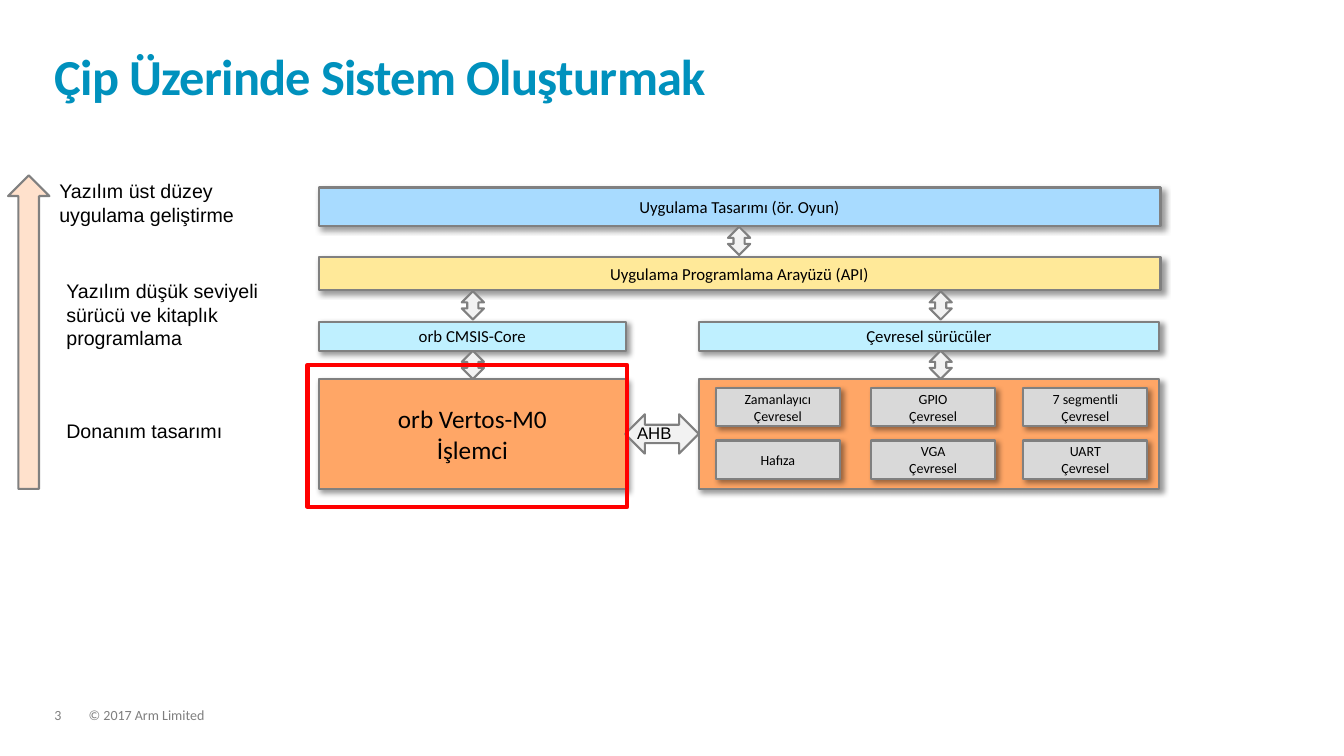
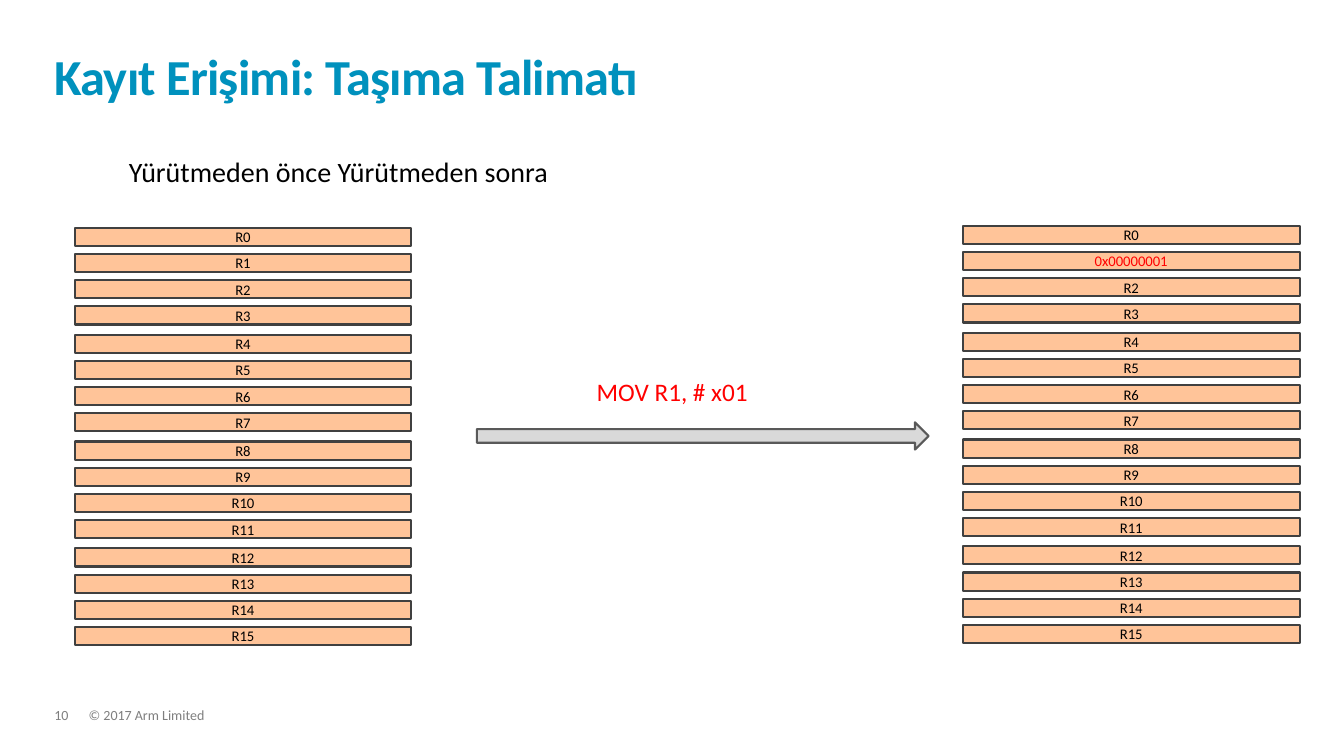
"""Build two slides on system-on-chip layers and register access."""
import lxml.etree
import pptx
import pptx.dml.color
import pptx.enum.shapes
import pptx.enum.text
import pptx.oxml.ns
import pptx.util

Inches = pptx.util.Inches
Shapes = pptx.enum.shapes.MSO_SHAPE
Align = pptx.enum.text.PP_ALIGN
Anchor = pptx.enum.text.MSO_ANCHOR
AutoSize = pptx.enum.text.MSO_AUTO_SIZE


def rgb(value):
    return pptx.dml.color.RGBColor.from_string(value)


def write(text_frame, text, size=12, font="Calibri", color="000000", bold=False,
          align=Align.LEFT, line_spacing=None, space_after=None, tracking=None):
    for index, line in enumerate(text.split("\n")):
        paragraph = text_frame.add_paragraph() if index else text_frame.paragraphs[0]
        paragraph.alignment = align
        paragraph.line_spacing = line_spacing
        if space_after is not None:
            paragraph.space_after = pptx.util.Pt(space_after)
        run = paragraph.add_run()
        run.text = line
        run.font.size = pptx.util.Pt(size)
        run.font.name = font
        run.font.bold = bold
        run.font.color.rgb = rgb(color)
        if tracking is not None:
            run.font._element.set("spc", str(int(tracking * 100)))


def clear_margins(text_frame):
    text_frame.margin_left = text_frame.margin_right = 0
    text_frame.margin_top = text_frame.margin_bottom = 0


def add_shadow(shape):
    qn = pptx.oxml.ns.qn
    effects = shape._element.spPr.find(qn("a:effectLst"))
    shadow = lxml.etree.SubElement(effects, qn("a:outerShdw"), blurRad="50800",
                                   dist="38100", dir="2700000", algn="tl", rotWithShape="0")
    color = lxml.etree.SubElement(shadow, qn("a:srgbClr"), val="000000")
    lxml.etree.SubElement(color, qn("a:alpha"), val="40000")


class Deck:
    TITLE = "0091BD"
    FOOTER = "7F7F7F"
    OUTLINE = "808080"
    HARDWARE = "FFA666"
    DRIVER = "BFF0FF"
    ARROW = "F2F2F2"
    GREY = "D9D9D9"
    REGISTER = "FFC499"
    RED = "FF0000"

    def __init__(self):
        self.presentation = pptx.Presentation()
        self.presentation.slide_width = Inches(13.33)
        self.presentation.slide_height = Inches(7.5)
        self.slide = None

    def new_slide(self, title, number):
        self.slide = self.presentation.slides.add_slide(self.presentation.slide_layouts[5])
        shape = self.slide.shapes.title
        shape.left, shape.top = Inches(0.54), Inches(0.32)
        shape.width, shape.height = Inches(12.23), Inches(0.73)
        text_frame = shape.text_frame
        clear_margins(text_frame)
        text_frame.auto_size = AutoSize.NONE
        text_frame.vertical_anchor = Anchor.BOTTOM
        write(text_frame, title, size=36, color=self.TITLE, bold=True,
              line_spacing=0.85, tracking=-0.5)
        for left, width, text in ((0.88, 9.13, "© 2017 Arm Limited"), (0.54, 0.34, str(number))):
            footer = self.text(left, 7.03, width, 0.15, text, size=10, color=self.FOOTER,
                               line_spacing=0.9, space_after=6)
            clear_margins(footer.text_frame)

    def text(self, left, top, width, height, text, wrap=True, **text_format):
        shape = self.slide.shapes.add_textbox(Inches(left), Inches(top),
                                              Inches(width), Inches(height))
        shape.text_frame.word_wrap = wrap
        shape.text_frame.auto_size = AutoSize.SHAPE_TO_FIT_TEXT
        write(shape.text_frame, text, **text_format)
        return shape

    def shape(self, kind, left, top, width, height, fill=None, line=OUTLINE, weight=1.5):
        shape = self.slide.shapes.add_shape(kind, Inches(left), Inches(top),
                                            Inches(width), Inches(height))
        shape.shadow.inherit = False
        if fill:
            shape.fill.solid()
            shape.fill.fore_color.rgb = rgb(fill)
        else:
            shape.fill.background()
        shape.line.color.rgb = rgb(line)
        shape.line.width = pptx.util.Pt(weight)
        return shape

    def box(self, left, top, width, height, fill, text="", line=OUTLINE, shadow=True,
            **text_format):
        shape = self.shape(Shapes.RECTANGLE, left, top, width, height, fill, line)
        if shadow:
            add_shadow(shape)
        if text:
            shape.text_frame.word_wrap = False
            shape.text_frame.vertical_anchor = Anchor.MIDDLE
            write(shape.text_frame, text, align=Align.CENTER, **text_format)

    def registers(self, left, top, labels):
        for index, label in enumerate(labels):
            group, row = divmod(index, 4)
            self.box(left, top + 1.06 * group + 0.26 * row, 3.34, 0.18, self.REGISTER, label,
                     line="404040", shadow=False, size=10.5,
                     color="000000" if label.startswith("R") else self.RED)


def build_system_slide(deck):
    deck.new_slide("Çip Üzerinde Sistem Oluşturmak", 3)
    left, right, core_width, peripheral_width, full_width = 3.16, 6.93, 3.05, 4.57, 8.35
    deck.box(right, 3.76, peripheral_width, 1.09, deck.HARDWARE)
    peripherals = (
        (3.85, ("Zamanlayıcı\nÇevresel", "GPIO\nÇevresel", "7 segmentli\nÇevresel")),
        (4.37, ("Hafıza", "VGA\nÇevresel", "UART\nÇevresel")),
    )
    for top, names in peripherals:
        for column, name in zip((7.1, 8.64, 10.15), names):
            deck.box(column, top, 1.23, 0.38, deck.GREY, name, size=10)

    deck.box(left, 3.19, core_width, 0.29, deck.DRIVER, "orb CMSIS-Core")
    deck.box(left, 2.55, full_width, 0.33, "FFE999", "Uygulama Programlama Arayüzü (API)")
    deck.box(left, 1.86, full_width, 0.38, "A8DBFF", "Uygulama Tasarımı (ör. Oyun)")
    deck.box(left, 3.76, core_width, 1.09, deck.HARDWARE, "orb Vertos-M0\nİşlemci", size=18)
    deck.box(right, 3.19, peripheral_width, 0.29, deck.DRIVER, "Çevresel sürücüler")

    for arrow_left, top in ((7.22, 2.25), (4.58, 2.89), (4.58, 3.48), (9.22, 2.89), (9.22, 3.48)):
        deck.shape(Shapes.UP_DOWN_ARROW, arrow_left, top, 0.22, 0.28, deck.ARROW)
    bus = deck.shape(Shapes.UP_DOWN_ARROW, 6.37, 3.94, 0.39, 0.73, deck.ARROW)
    bus.rotation = 90
    bus.adjustments[0], bus.adjustments[1] = 0.573, 0.468
    deck.text(6.22, 4.14, 0.83, 0.3, "AHB", font="Arial")

    deck.shape(Shapes.UP_ARROW, 0.08, 1.74, 0.41, 3.11, "FFE1CC")
    levels = (
        (0.49, 1.73, 3.02, 0.57, "Yazılım üst düzey\nuygulama geliştirme"),
        (0.56, 2.72, 2.59, 0.57, "Yazılım düşük seviyeli sürücü ve kitaplık programlama"),
        (0.56, 4.11, 2.44, 0.34, "Donanım tasarımı"),
    )
    for level in levels:
        deck.text(*level, size=14, font="Arial")
    deck.shape(Shapes.RECTANGLE, 3.05, 3.62, 3.17, 1.41, line=deck.RED, weight=3)


def build_register_slide(deck):
    deck.new_slide("Kayıt Erişimi: Taşıma Talimatı", 10)
    before = [f"R{index}" for index in range(16)]
    after = before[:1] + ["0x00000001"] + before[2:]
    deck.registers(0.74, 2.26, before)
    deck.shape(Shapes.RIGHT_ARROW, 4.73, 4.19, 4.48, 0.27, deck.GREY, "595959")
    deck.registers(9.55, 2.24, after)
    deck.text(5.82, 3.68, 1.87, 0.4, "MOV R1, # x01", wrap=False, size=18, color=deck.RED)
    deck.text(1.18, 1.48, 10.69, 0.44, "Yürütmeden önce Yürütmeden sonra", wrap=False, size=20)


def main():
    deck = Deck()
    build_system_slide(deck)
    build_register_slide(deck)
    deck.presentation.save("out.pptx")


if __name__ == "__main__":
    main()
